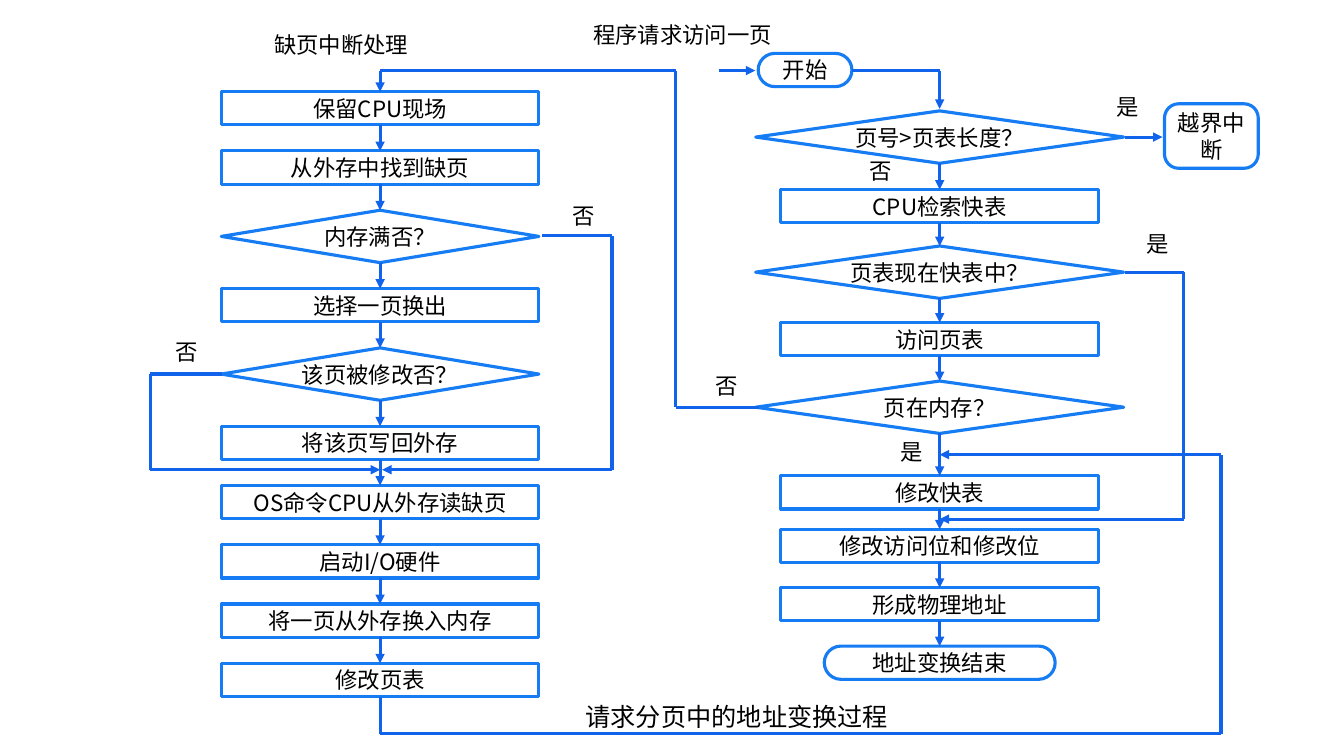
"""Build a flowchart slide of address translation in demand paging."""
import itertools

import pptx
import pptx.dml.color
import pptx.enum.shapes
import pptx.enum.text
import pptx.oxml
import pptx.oxml.ns
import pptx.util

RGBColor = pptx.dml.color.RGBColor
SHAPE = pptx.enum.shapes.MSO_SHAPE
ALIGN = pptx.enum.text.PP_ALIGN
BORDER = RGBColor(0x15, 0x7C, 0xF3)
ARROW = RGBColor(0x11, 0x63, 0xEB)
BLACK = RGBColor(0, 0, 0)
CJK = "Noto Sans CJK SC"

FAULT_X, MAIN_X = 3.77, 9.32
FAULT_TOP, FAULT_BOTTOM = 0.91, 6.91
BOX_W, BOX_H, DIAMOND_H = 3.15, 0.33, 0.52
MAIN_DIAMOND_W, END_W = 3.65, 2.29
SWAP_Y, START_Y, RETURN_Y, HIT_Y, FLOOR_Y = 4.66, 0.7, 4.51, 5.15, 7.28
CALL_X, SKIP_X, CLEAN_X, HIT_X, RETURN_X = 6.7, 6.07, 1.49, 11.74, 12.11

FAULT_STEPS = [
    ("box", "保留CPU现场"),
    ("diamond", None),
]
FAULT_STEPS = [
    ("box", "保留CPU现场"),
    ("box", "从外存中找到缺页"),
    ("diamond", "内存满否？"),
    ("box", "选择一页换出"),
    ("diamond", "该页被修改否？"),
    ("box", "将该页写回外存"),
    ("box", "OS命令CPU从外存读缺页"),
    ("box", "启动I/O硬件"),
    ("box", "将一页从外存换入内存"),
    ("box", "修改页表"),
]
MAIN_STEPS = [
    ("diamond", "页号>页表长度？", 1.1),
    ("box", "CPU检索快表", 1.88),
    ("diamond", "页表现在快表中？", 2.44),
    ("box", "访问页表", 3.2),
    ("diamond", "页在内存？", 3.78),
    ("box", "修改快表", 4.72),
    ("box", "修改访问位和修改位", 5.25),
    ("box", "形成物理地址", 5.83),
    ("end", "地址变换结束", 6.41),
]
TERMINALS = [
    ("开始", 7.52, 0.53, 0.93, 0.33, 0.5),
    ("越界中断", 11.55, 1.03, 0.93, 0.64, 0.22),
]
ROUTES = [
    [(7.53, 4.04), (CALL_X, 4.04), (CALL_X, START_Y), (FAULT_X, START_Y), (FAULT_X, FAULT_TOP)],
    [(2.2, 3.71), (CLEAN_X, 3.71), (CLEAN_X, SWAP_Y), (FAULT_X, SWAP_Y)],
    [(5.38, 2.34), (SKIP_X, 2.34), (SKIP_X, SWAP_Y), (3.79, SWAP_Y)],
    [(FAULT_X, FAULT_BOTTOM), (FAULT_X, FLOOR_Y), (RETURN_X, FLOOR_Y),
     (RETURN_X, RETURN_Y), (MAIN_X, RETURN_Y)],
    [(11.16, 2.7), (HIT_X, 2.7), (HIT_X, HIT_Y), (MAIN_X, HIT_Y)],
    [(8.45, START_Y), (MAIN_X, START_Y), (MAIN_X, 1.08)],
    [(7.13, START_Y), (7.49, START_Y)],
    [(11.16, 1.36), (11.53, 1.36)],
]
LABELS = [
    ("缺页中断处理", 2.62, 0.26, 1.53),
    ("程序请求访问一页", 5.78, 0.16, 1.98),
    ("否", 1.57, 3.31, 0.56),
    ("否", 5.51, 1.96, 0.56),
    ("否", 6.93, 3.64, 0.56),
    ("否", 8.45, 1.51, 0.56),
    ("是", 8.76, 4.3, 0.56),
    ("是", 11.2, 2.23, 0.56),
    ("是", 10.9, 0.87, 0.56),
]
CAPTION = ("请求分页中的地址变换过程", 5.71, 6.91, 3.2)


def inches(*values):
    return [pptx.util.Inches(v) for v in values]


def add_text(tf, text, size=16, font=CJK, align=ALIGN.CENTER):
    p = tf.paragraphs[0]
    p.alignment = align
    r = p.add_run()
    r.text = text
    r.font.size = pptx.util.Pt(size)
    r.font.name = font
    r.font.color.rgb = BLACK
    ea = pptx.oxml.parse_xml(f'<a:ea {pptx.oxml.ns.nsdecls("a")} typeface="{CJK}"/>')
    r.font._element.find(pptx.oxml.ns.qn("a:latin")).addnext(ea)


def add_node(s, preset, text, left, top, width, height, round_share=None):
    sp = s.shapes.add_shape(preset, *inches(left, top, width, height))
    sp.shadow.inherit = False
    sp.fill.background()
    sp.line.color.rgb = BORDER
    sp.line.width = pptx.util.Pt(2.25)
    if round_share is not None:
        sp.adjustments[0] = round_share
    tf = sp.text_frame
    tf.word_wrap = True
    tf.vertical_anchor = pptx.enum.text.MSO_ANCHOR.MIDDLE
    tf.margin_left = tf.margin_right = tf.margin_top = tf.margin_bottom = 0
    add_text(tf, text)


def add_route(s, points):
    for start, end in itertools.pairwise(points):
        line = s.shapes.add_connector(
            pptx.enum.shapes.MSO_CONNECTOR.STRAIGHT, *inches(*start, *end))
        line.line.color.rgb = ARROW
        line.line.width = pptx.util.Pt(2.25)
        ns = pptx.oxml.ns.nsdecls("a")
        if end == points[-1]:
            line.line._get_or_add_ln().append(
                pptx.oxml.parse_xml(f'<a:tailEnd {ns} type="triangle"/>'))
        line._element.spPr.append(pptx.oxml.parse_xml(f"<a:effectLst {ns}/>"))


def add_column(s, x, steps, kinds):
    for kind, text, top in steps:
        preset, width, height, round_share = kinds[kind]
        add_node(s, preset, text, x - width / 2, top, width, height, round_share)
    for (kind, _, top), (_, _, next_top) in itertools.pairwise(steps):
        add_route(s, [(x, top + kinds[kind][2]), (x, next_top)])


def add_label(s, text, left, top, width, **style):
    tf = s.shapes.add_textbox(*inches(left, top, width, 0.37)).text_frame
    tf.word_wrap = width < 1
    add_text(tf, text, **style)


def main():
    prs = pptx.Presentation()
    prs.slide_width, prs.slide_height = inches(13.33, 7.5)
    s = prs.slides.add_slide(prs.slide_layouts[6])
    kinds = {
        "box": (SHAPE.RECTANGLE, BOX_W, BOX_H, None),
        "diamond": (SHAPE.DIAMOND, BOX_W, DIAMOND_H, None),
        "end": (SHAPE.ROUNDED_RECTANGLE, END_W, BOX_H, 0.5),
    }
    heights = [kinds[kind][2] for kind, _ in FAULT_STEPS]
    gap = (FAULT_BOTTOM - FAULT_TOP - sum(heights)) / (len(heights) - 1)
    tops = itertools.accumulate(heights[:-1], lambda y, h: y + h + gap, initial=FAULT_TOP)
    fault_steps = [(*step, top) for step, top in zip(FAULT_STEPS, tops)]
    add_column(s, FAULT_X, fault_steps, kinds)
    main_diamond = (SHAPE.DIAMOND, MAIN_DIAMOND_W, DIAMOND_H, None)
    add_column(s, MAIN_X, MAIN_STEPS, {**kinds, "diamond": main_diamond})
    for text, *place in TERMINALS:
        add_node(s, SHAPE.ROUNDED_RECTANGLE, text, *place)
    for points in ROUTES:
        add_route(s, points)
    for label in LABELS:
        add_label(s, *label)
    add_label(s, *CAPTION, size=18, font="Calibri", align=ALIGN.LEFT)
    prs.save("out.pptx")


if __name__ == "__main__":
    main()
